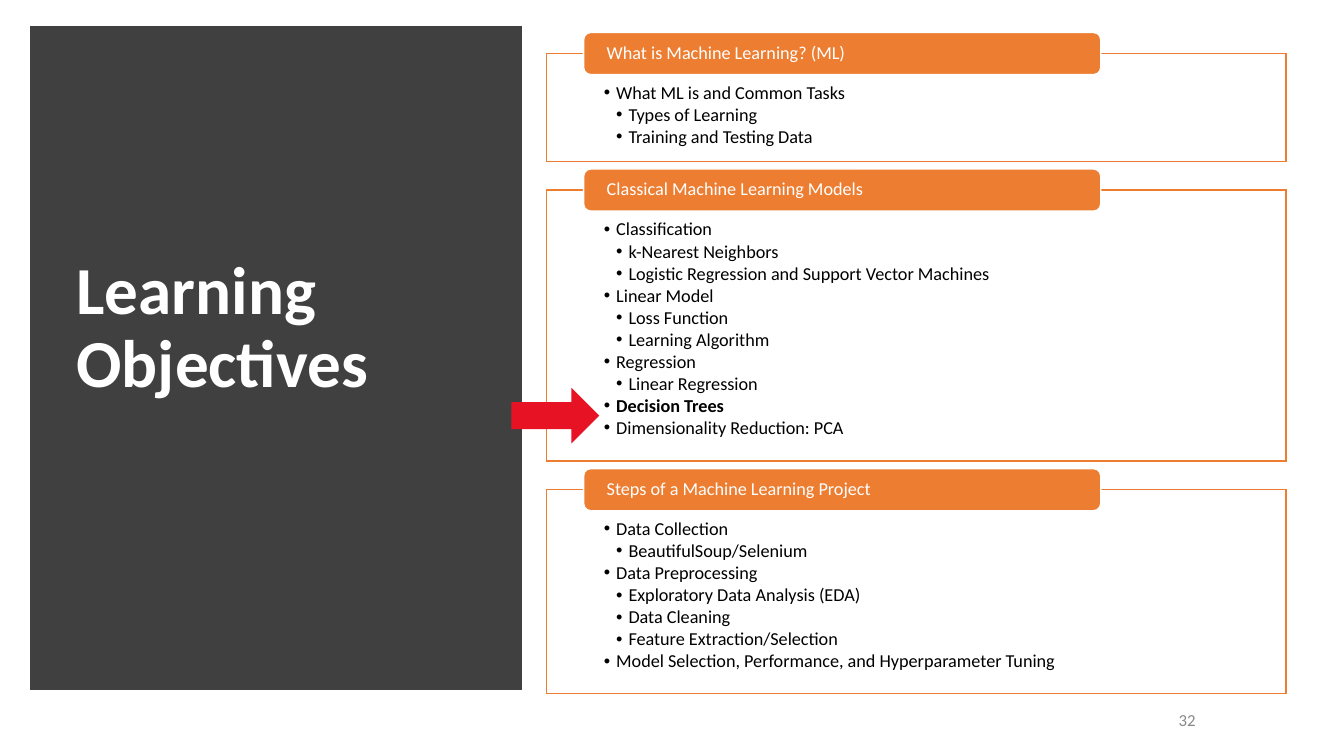
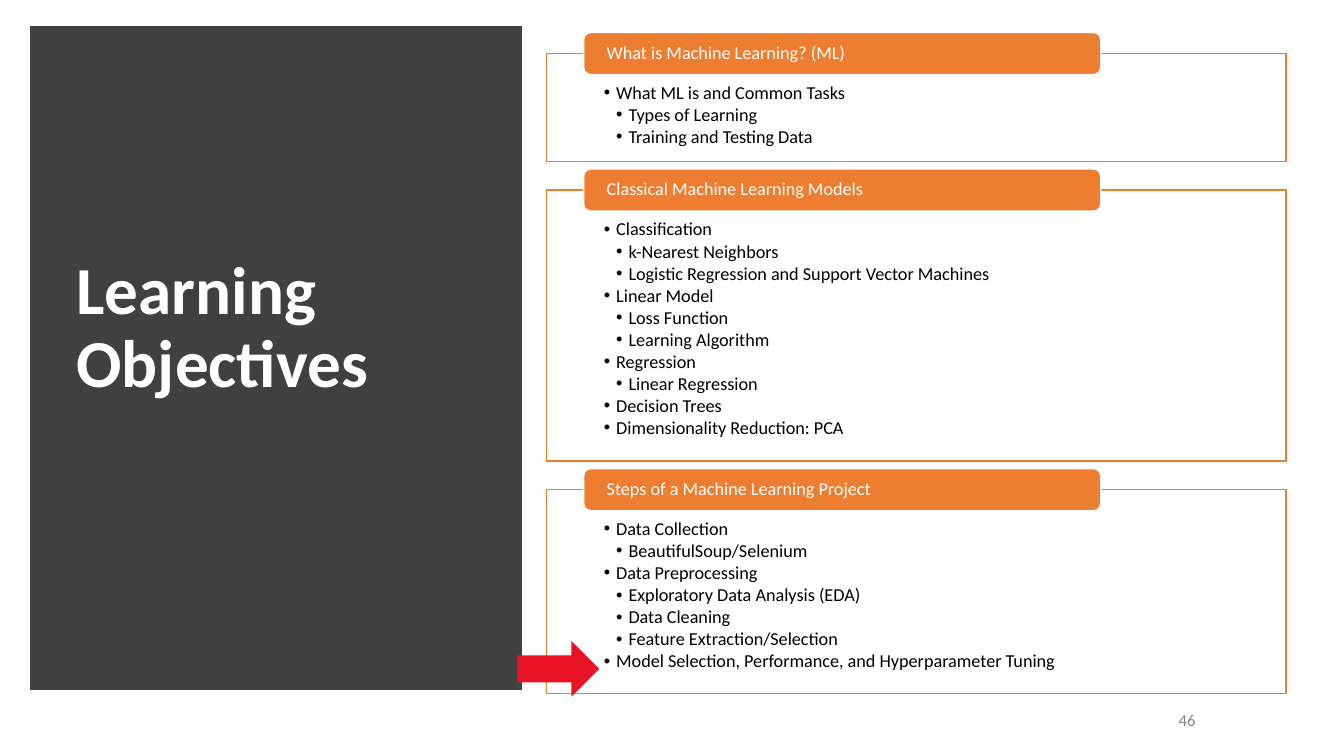
from lxml import etree
from pptx import Presentation
from pptx.dml.color import RGBColor
from pptx.enum import shapes, text
from pptx.oxml import ns
from pptx.util import Cm, Pt

COLORS = {
    "dark": "404040",
    "accent": "ED7D31",
    "white": "FFFFFF",
    "body": "000000",
    "muted": "898989",
    "marker": "E71224",
}
FONT = "Calibri"
SHAPE = shapes.MSO_SHAPE

PANEL_LEFT, PANEL_TOP, PANEL_WIDTH, PANEL_GAP = 13.77, 1.35, 18.64, 0.72
HEADER_LEFT, HEADER_WIDTH, HEADER_HEIGHT = 14.71, 13.03, 1.06
BULLET_INDENT = 0.31
ARROW_TIP, ARROW_HEIGHT = 15.04, 1.19

# heading, panel height, topics as (level, wording)
SECTIONS = [
    ("What is Machine Learning? (ML)", 2.72, [
        (1, "What ML is and Common Tasks"),
        (2, "Types of Learning"),
        (2, "Training and Testing Data"),
    ]),
    ("Classical Machine Learning Models", 6.83, [
        (1, "Classification"),
        (2, "k-Nearest Neighbors"),
        (2, "Logistic Regression and Support Vector Machines"),
        (1, "Linear Model"),
        (2, "Loss Function"),
        (2, "Learning Algorithm"),
        (1, "Regression"),
        (2, "Linear Regression"),
        (1, "Decision Trees"),
        (1, "Dimensionality Reduction: PCA"),
    ]),
    ("Steps of a Machine Learning Project", 5.13, [
        (1, "Data Collection"),
        (2, "BeautifulSoup/Selenium"),
        (1, "Data Preprocessing"),
        (2, "Exploratory Data Analysis (EDA)"),
        (2, "Data Cleaning"),
        (2, "Feature Extraction/Selection"),
        (1, "Model Selection, Performance, and Hyperparameter Tuning"),
    ]),
]

# page number, bold topic, arrow top, arrow length
PAGES = [
    ("32", "Decision Trees", 9.88, 2.11),
    ("46", None, 16.26, 1.96),
]


def rgb(color):
    return RGBColor.from_string(COLORS[color])


def add_child(parent, tag, **attributes):
    return etree.SubElement(parent, ns.qn(tag), **attributes)


def add_box(slide, preset, place, fill, line, line_width):
    """Add a filled preset shape with mitred corners; place is in cm."""
    box = slide.shapes.add_shape(preset, *map(Cm, place))
    box.shadow.inherit = False
    box.fill.solid()
    box.fill.fore_color.rgb = rgb(fill)
    box.line.color.rgb = rgb(line)
    box.line.width = Pt(line_width)
    add_child(box.line._ln, "a:miter", lim="800000")
    return box


def set_frame(shape, anchor, insets):
    """Prepare a text frame; insets are left, top, right, bottom in cm."""
    frame = shape.text_frame
    frame.word_wrap = True
    frame.vertical_anchor = anchor
    (frame.margin_left, frame.margin_top,
     frame.margin_right, frame.margin_bottom) = map(Cm, insets)
    return frame


def write(paragraph, wording, size, color, bold=False,
          align=text.PP_ALIGN.LEFT):
    paragraph.add_run().text = wording
    paragraph.alignment = align
    paragraph.line_spacing = 0.9
    font = paragraph.font
    font.name, font.size, font.bold = FONT, Pt(size), bold
    font.color.rgb = rgb(color)


def add_label(slide, place, wording, size, color, right_inset=0.25, **style):
    label = slide.shapes.add_textbox(*map(Cm, place))
    frame = set_frame(label, text.MSO_ANCHOR.MIDDLE,
                      (0.25, 0.13, right_inset, 0.13))
    write(frame.paragraphs[0], wording, size, color, **style)


def make_bullet(paragraph, level):
    properties = paragraph._p.get_or_add_pPr()
    properties.set("marL", str(Cm(BULLET_INDENT * level)))
    properties.set("indent", str(-Cm(BULLET_INDENT)))
    add_child(properties, "a:buFont", typeface="Arial")
    add_child(properties, "a:buChar", char="•")


def add_panel(slide, top, height, topics, bold_topic):
    panel = add_box(slide, SHAPE.RECTANGLE,
                    (PANEL_LEFT, top, PANEL_WIDTH, height),
                    "white", "accent", 1)
    fill_color = panel.fill._xPr.find(ns.qn("a:solidFill"))[0]
    add_child(fill_color, "a:alpha", val="90000")
    frame = set_frame(panel, text.MSO_ANCHOR.TOP, (1.45, 0.76, 1.45, 0.25))
    for index, (level, topic) in enumerate(topics):
        paragraph = frame.add_paragraph() if index else frame.paragraphs[0]
        make_bullet(paragraph, level)
        paragraph.space_after = Pt(1.7)
        write(paragraph, topic, 13, "body", bold=topic == bold_topic)


def add_header(slide, panel_top, heading):
    """Add a heading tab centred on the top edge of its panel."""
    header = add_box(slide, SHAPE.ROUNDED_RECTANGLE,
                     (HEADER_LEFT, panel_top - HEADER_HEIGHT / 2,
                      HEADER_WIDTH, HEADER_HEIGHT),
                     "accent", "white", 1)
    frame = set_frame(header, text.MSO_ANCHOR.MIDDLE, (0.53, 0, 0.53, 0))
    write(frame.paragraphs[0], heading, 13, "white")


def add_sections(slide, bold_topic):
    top = PANEL_TOP
    for heading, height, topics in SECTIONS:
        add_panel(slide, top, height, topics, bold_topic)
        add_header(slide, top, heading)
        top += height + PANEL_GAP


def add_title_band(slide, title):
    add_box(slide, SHAPE.RECTANGLE, (0.94, 0.84, 12.04, 16.38),
            "dark", "dark", 10)
    add_label(slide, (1.68, 4.45, 10.57, 7.7), title, 48, "white", bold=True)


def add_page_number(slide, number):
    add_label(slide, (23.77, 17.65, 7.75, 1.02), number, 12, "muted",
              right_inset=1.39, align=text.PP_ALIGN.RIGHT)


def add_arrow(slide, top, length):
    add_box(slide, SHAPE.RIGHT_ARROW,
            (ARROW_TIP - length, top, length, ARROW_HEIGHT),
            "marker", "marker", 2.43)


def main():
    deck = Presentation()
    deck.slide_width, deck.slide_height = Cm(33.87), Cm(19.05)
    blank = deck.slide_layouts[6]
    for number, bold_topic, arrow_top, arrow_length in PAGES:
        slide = deck.slides.add_slide(blank)
        add_title_band(slide, "Learning Objectives")
        add_page_number(slide, number)
        add_sections(slide, bold_topic)
        add_arrow(slide, arrow_top, arrow_length)
    deck.save("out.pptx")


if __name__ == "__main__":
    main()
